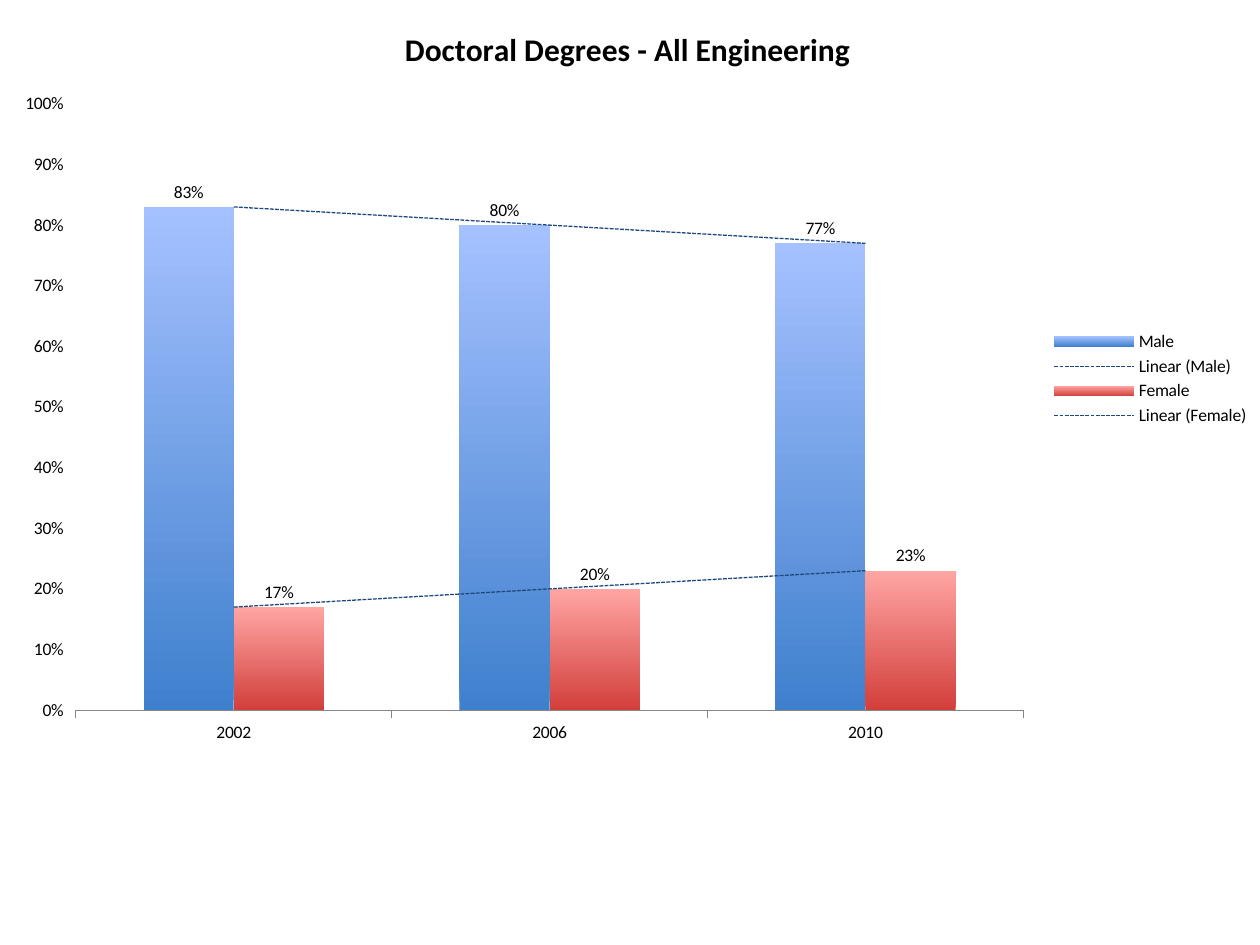
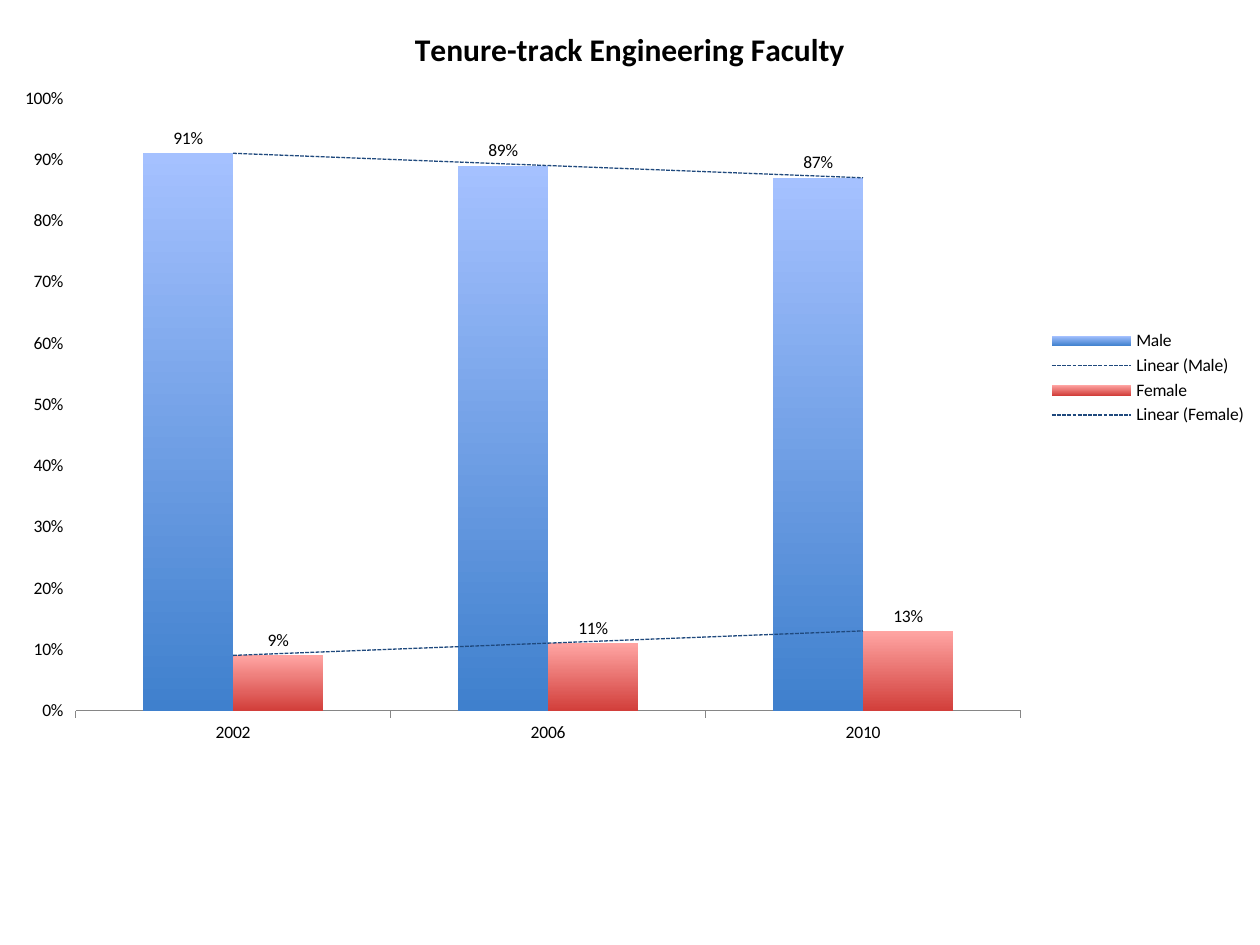
from lxml import etree
from pptx import Presentation
from pptx.chart.data import CategoryChartData
from pptx.dml.color import RGBColor
from pptx.enum.chart import (XL_CHART_TYPE, XL_LABEL_POSITION,
                             XL_LEGEND_POSITION, XL_TICK_MARK)
from pptx.oxml import parse_xml
from pptx.oxml.ns import nsdecls, qn
from pptx.util import Cm, Pt

COLUMNS = XL_CHART_TYPE.COLUMN_CLUSTERED
RIGHT = XL_LEGEND_POSITION.RIGHT
ABOVE_BAR = XL_LABEL_POSITION.OUTSIDE_END
TICK_OUT = XL_TICK_MARK.OUTSIDE
TICK_NONE = XL_TICK_MARK.NONE

FONT = "Calibri"
BLACK, AXIS_GREY, TREND_NAVY = "000000", "868686", "1F497D"
PERCENT = "0%"
YEARS = (2002, 2006, 2010)
# Bottom and top colour of each series' bars
BAR_COLOURS = {"Male": ("3F80CD", "A5C1FF"), "Female": ("D23F3B", "FFA5A3")}

# Title, chart box (left, top, width, height in cm), plot box as fractions
# of the chart (None leaves it automatic), shares by series
CHARTS = (
    ("Doctoral Degrees - All Engineering ", (0, 0, 25.45, 15.27), None,
     {"Male": (0.83, 0.8, 0.77), "Female": (0.17, 0.2, 0.23)}),
    ("Tenure-track Engineering Faculty", (0, 0, 25.4, 15.24),
     (0.06, 0.13, 0.75, 0.81),
     {"Male": (0.91, 0.89, 0.87), "Female": (0.09, 0.11, 0.13)}),
)


def colour(hex_string):
    """Turn a hex string into a colour."""
    return RGBColor.from_string(hex_string)


def style_font(font, size, bold=False):
    """Apply the deck's typeface in black."""
    font.name, font.size, font.bold = FONT, Pt(size), bold
    font.color.rgb = colour(BLACK)


def add_values(parent, pairs):
    """Append chart elements that each hold one value."""
    for tag, value in pairs:
        etree.SubElement(parent, qn(f"c:{tag}")).set("val", str(value))


def add_trend_line(series):
    """Add a dashed linear trend line to a series."""
    trend = parse_xml(
        f'<c:trendline {nsdecls("c", "a")}><c:spPr><a:ln w="{Pt(0.75)}">'
        f'<a:solidFill><a:srgbClr val="{TREND_NAVY}"/></a:solidFill>'
        '<a:prstDash val="sysDash"/></a:ln></c:spPr></c:trendline>')
    add_values(trend, (("trendlineType", "linear"), ("dispRSqr", 0),
                       ("dispEq", 0)))
    series._element.find(qn("c:cat")).addprevious(trend)


def place_plot(chart, plot_box):
    """Fix the inner plot area at fractions of the chart's size."""
    area = chart._chartSpace.find(f'{qn("c:chart")}/{qn("c:plotArea")}')
    for automatic in area.findall(qn("c:layout")):
        area.remove(automatic)
    layout = parse_xml(f'<c:layout {nsdecls("c")}><c:manualLayout/></c:layout>')
    add_values(layout[0], (("layoutTarget", "inner"), ("xMode", "edge"),
                           ("yMode", "edge"), *zip("xywh", plot_box)))
    area.insert(0, layout)


def style_series(series):
    """Give a series its gradient bars, value labels and trend line."""
    fill = series.format.fill
    fill.gradient()
    fill.gradient_angle = 90
    for stop, shade in zip(fill.gradient_stops, BAR_COLOURS[series.name]):
        stop.color.rgb = colour(shade)
    series.invert_if_negative = False
    labels = series.data_labels
    labels.show_value = True
    labels.number_format, labels.number_format_is_linked = PERCENT, False
    labels.position = ABOVE_BAR
    style_font(labels.font, 10)
    add_trend_line(series)


def style_axes(chart):
    """Set a plain year axis and a percent axis without a line."""
    years, shares = chart.category_axis, chart.value_axis
    years.major_tick_mark = shares.major_tick_mark = TICK_OUT
    years.minor_tick_mark = shares.minor_tick_mark = TICK_NONE
    years.has_major_gridlines = shares.has_major_gridlines = False
    years.format.line.color.rgb = colour(AXIS_GREY)
    years.format.line.width = Pt(0.75)
    shares.format.line.fill.background()
    shares.minimum_scale, shares.maximum_scale = 0, 1
    shares.major_unit = 0.1
    shares.tick_labels.number_format = PERCENT
    shares.tick_labels.number_format_is_linked = False


def add_title(chart, title):
    """Write the bold heading above the plot."""
    chart.has_title = True
    chart.chart_title.include_in_layout = False
    span = chart.chart_title.text_frame.paragraphs[0].add_run()
    span.text = title
    style_font(span.font, 18, bold=True)


def add_share_chart(page, box, title, plot_box, shares):
    """Place a chart of male and female shares by year in the box."""
    data = CategoryChartData(number_format=PERCENT)
    data.categories = YEARS
    for name, values in shares.items():
        data.add_series(name, values)
    chart = page.shapes.add_chart(COLUMNS, *map(Cm, box), data).chart
    style_font(chart.font, 10)
    add_title(chart, title)
    chart.has_legend = True
    chart.legend.position = RIGHT
    chart.legend.include_in_layout = False
    style_axes(chart)
    if plot_box:
        place_plot(chart, plot_box)
    plot = chart.plots[0]
    plot.gap_width, plot.overlap, plot.vary_by_categories = 150, 0, False
    for series in plot.series:
        style_series(series)


def build_deck():
    """Build one slide for each chart and save the deck."""
    deck = Presentation()
    deck.slide_width, deck.slide_height = Cm(25.4), Cm(19.05)
    for title, box, plot_box, shares in CHARTS:
        page = deck.slides.add_slide(deck.slide_layouts[6])
        add_share_chart(page, box, title, plot_box, shares)
    deck.save("out.pptx")


build_deck()
